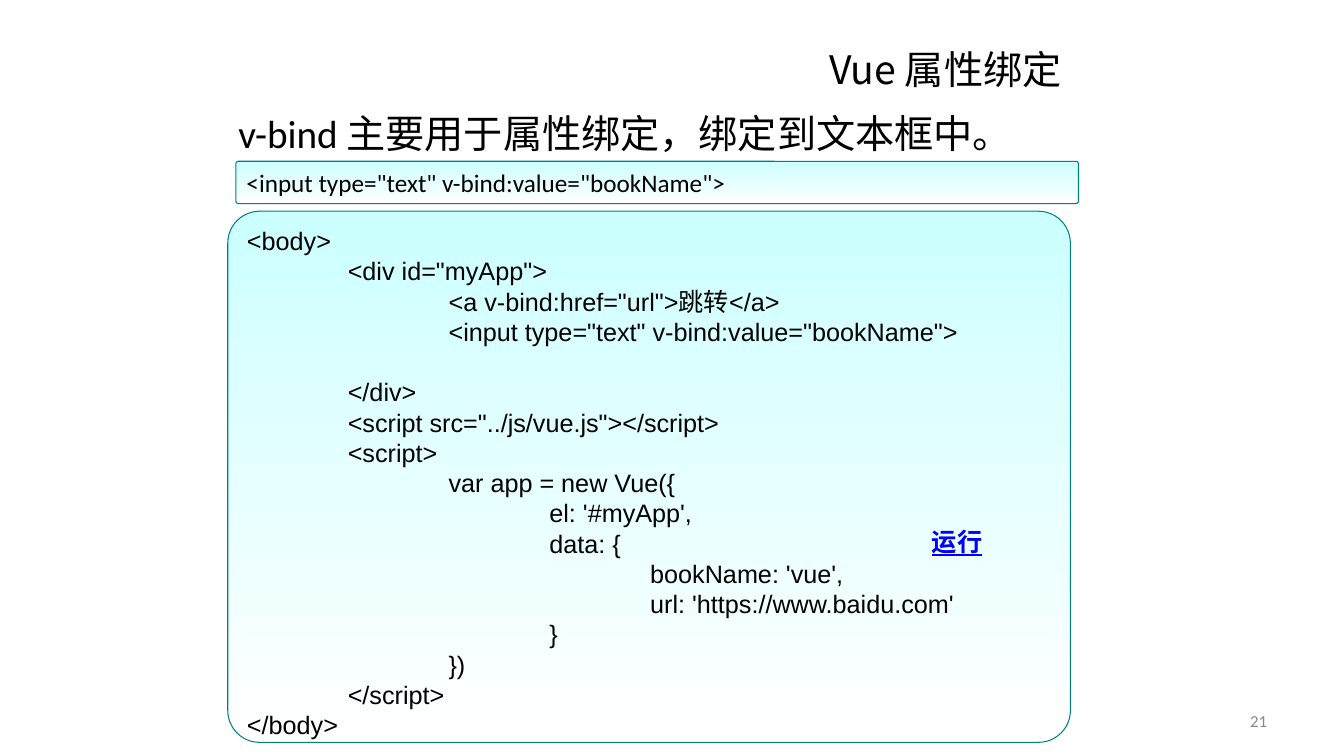
from dataclasses import dataclass

from lxml import etree
from pptx import Presentation
from pptx.dml.color import RGBColor
from pptx.enum.shapes import MSO_SHAPE
from pptx.enum.text import MSO_ANCHOR, PP_ALIGN
from pptx.oxml.ns import qn
from pptx.util import Pt

ROUND = MSO_SHAPE.ROUNDED_RECTANGLE
TOP, MIDDLE = MSO_ANCHOR.TOP, MSO_ANCHOR.MIDDLE
LEFT, CENTER, RIGHT = PP_ALIGN.LEFT, PP_ALIGN.CENTER, PP_ALIGN.RIGHT
TAB = 72


@dataclass(frozen=True)
class Theme:
    ink: str = "000000"
    gray: str = "898989"
    link: str = "0000FF"
    edge: str = "008080"
    tint: str = "CCFFFF"
    base: str = "FFFFFF"
    head: float = 28
    body: float = 18
    small: float = 12
    sans: str = "Calibri"
    code: str = "Arial"
    han: str = "Noto Sans CJK SC"


THEME = Theme()


@dataclass(frozen=True)
class Block:
    """A box with text; lengths are in points."""
    x: float
    y: float
    w: float
    h: float
    text: str
    size: float
    font: str
    color: str = THEME.ink
    align: PP_ALIGN = LEFT
    anchor: MSO_ANCHOR = TOP
    pad: float = 7.2
    space: float = 1.0
    bold: bool = False
    panel: bool = False


CODE = """<body>
	<div id="myApp">
		<a v-bind:href="url">跳转</a>
		<input type="text" v-bind:value="bookName">

	</div>
	<script src="../js/vue.js"></script>
	<script>
		var app = new Vue({
			el: '#myApp',
			data: {
				bookName: 'vue',
				url: 'https://www.baidu.com'
			}
		})
	</script>
</body>"""

BLOCKS = [
    # Page number, lead sentence and title
    Block(688.3, 500.4, 223.9, 28.8, "21", THEME.small, THEME.sans,
          color=THEME.gray, align=RIGHT, anchor=MIDDLE),
    Block(144, 66.2, 672, 473.8, "v-bind 主要用于属性绑定，绑定到文本框中。",
          THEME.head, THEME.sans, pad=26.2, space=1.25),
    Block(535, 28.8, 280.8, 41, "Vue 属性绑定", THEME.head, THEME.han,
          align=CENTER),
    # Code panels
    Block(168.5, 115.2, 601.9, 30.2,
          '<input type="text" v-bind:value="bookName">',
          THEME.body, THEME.sans, panel=True),
    Block(162.7, 150.9, 601.9, 379.4, CODE, THEME.body, THEME.code,
          panel=True),
    # Run label
    Block(638.6, 372.2, 90, 28.8, "运行", THEME.body, THEME.code,
          color=THEME.link, align=CENTER, bold=True),
]


def paint(shape) -> None:
    """Give a code panel its gradient and thin edge."""
    shape.shadow.inherit = False
    shape.adjustments[0] = 0.06
    shape.fill.gradient()
    shape.fill.gradient_angle = 270
    for stop, color in zip(shape.fill.gradient_stops,
                           (THEME.tint, THEME.base)):
        stop.color.rgb = RGBColor.from_string(color)
    shape.line.color.rgb = RGBColor.from_string(THEME.edge)
    shape.line.width = Pt(0.75)


def set_tabs(para, count: int) -> None:
    """Add evenly spaced tab stops, one for each leading tab."""
    stops = etree.SubElement(para._p.get_or_add_pPr(), qn("a:tabLst"))
    for num in range(1, count + 1):
        etree.SubElement(stops, qn("a:tab"), pos=str(Pt(TAB * num)),
                         algn="l")


def write(para, text: str, block: Block) -> None:
    """Add one styled run, with a face for Chinese text too."""
    run = para.add_run()
    run.text = text
    font = run.font
    font.name = block.font
    font.size = Pt(block.size)
    font.bold = block.bold
    font.underline = block.color == THEME.link
    font.color.rgb = RGBColor.from_string(block.color)
    face = etree.Element(qn("a:ea"), typeface=THEME.han)
    run._r.rPr.find(qn("a:latin")).addnext(face)


def draw(slide, block: Block) -> None:
    """Draw one block; an empty line becomes space before the next."""
    area = [Pt(v) for v in (block.x, block.y, block.w, block.h)]
    if block.panel:
        shape = slide.shapes.add_shape(ROUND, *area)
        paint(shape)
    else:
        shape = slide.shapes.add_textbox(*area)
    frame = shape.text_frame
    frame.word_wrap = True
    frame.vertical_anchor = block.anchor
    frame.margin_left = Pt(block.pad)
    para, gap = frame.paragraphs[0], 0.0
    for num, line in enumerate(block.text.split("\n")):
        if not line:
            gap = block.size * 1.2
            continue
        if num:
            para = frame.add_paragraph()
        para.alignment = block.align
        para.line_spacing = block.space
        if gap:
            para.space_before = Pt(gap)
            gap = 0.0
        if "\t" in line:
            set_tabs(para, line.count("\t"))
        write(para, line, block)


def main() -> None:
    deck = Presentation()
    deck.slide_width, deck.slide_height = Pt(960), Pt(540)
    slide = deck.slides.add_slide(deck.slide_layouts[6])
    for block in BLOCKS:
        draw(slide, block)
    deck.save("out.pptx")


if __name__ == "__main__":
    main()
